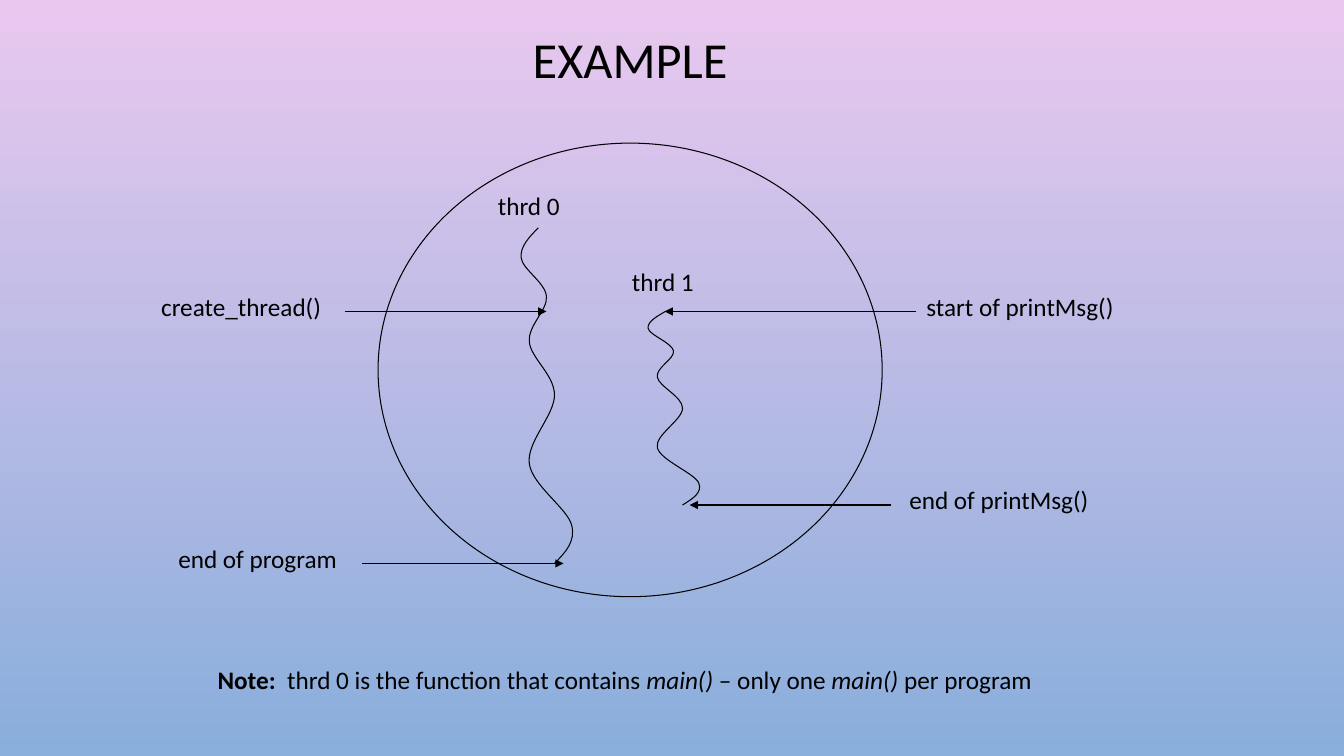
from lxml.etree import SubElement
from pptx import Presentation
from pptx.dml.color import RGBColor
from pptx.enum.shapes import MSO_CONNECTOR as Connector, MSO_SHAPE as Shape
from pptx.enum.text import MSO_ANCHOR as Anchor, MSO_AUTO_SIZE as AutoSize, PP_ALIGN as Align
from pptx.oxml.ns import qn
from pptx.util import Inches, Pt

SLIDE_W, SLIDE_H = 13.33, 7.5
INK, SKY_TOP, SKY_BOTTOM = "000000", "E9C8EF", "89AEDB"
FONT = "Calibri"
LABEL_H = 0.4

# Threads: name, head in the process box, label offset from the head,
# turning points from the head
THREADS = [
    ("thrd 0", (1.59, 0.84), (-0.5, -0.42),
     [(0, 0), (-0.17, 0.3), (0.08, 0.68), (-0.09, 1.13), (0.16, 1.66),
      (-0.09, 2.34), (0.33, 2.95), (0.16, 3.33)]),
    ("thrd 1", (2.85, 1.67), (-0.43, -0.5),
     [(0, 0), (-0.17, 0.17), (0.08, 0.39), (-0.08, 0.65), (0.17, 0.96),
      (-0.08, 1.35), (0.33, 1.7), (0.17, 1.92)]),
]

# Events: text, label left and width, arrow tail, arrow tip, height in the process box
EVENTS = [
    ("create_thread()", -2.25, 1.91, -0.33, 1.67, 1.67),
    ("start of printMsg()", 5.34, 2.16, 5.34, 2.84, 1.67),
    ("end of printMsg()", 5.17, 2.09, 5.09, 3.09, 3.59),
    ("end of program", -2.08, 1.9, -0.16, 1.84, 4.17),
]

# Note: text, bold, italic
NOTE = [
    ("Note:", True, False),
    ("  thrd 0 is the function that contains ", False, False),
    ("main()", False, True),
    (" – only one ", False, False),
    ("main()", False, True),
    (" per program", False, False),
]


def color(hex_code):
    return RGBColor.from_string(hex_code)


def style_font(paragraph, size):
    font = paragraph.font
    font.name, font.size = FONT, Pt(size)
    font.color.rgb = color(INK)


def style_line(shape):
    shape.line.color.rgb = color(INK)
    shape.line.width = Pt(0.75)


def add_label(slide, left, top, width, runs):
    label = slide.shapes.add_textbox(*map(Inches, (left, top, width, LABEL_H)))
    label.text_frame.word_wrap = False
    label.text_frame.auto_size = AutoSize.SHAPE_TO_FIT_TEXT
    paragraph = label.text_frame.paragraphs[0]
    style_font(paragraph, 18)
    for text, bold, italic in runs:
        run = paragraph.add_run()
        run.text = text
        run.font.bold, run.font.italic = bold, italic


def add_arrow(slide, tail_x, tip_x, y):
    arrow = slide.shapes.add_connector(
        Connector.STRAIGHT, *map(Inches, (tail_x, y, tip_x, y)))
    style_line(arrow)
    SubElement(arrow.line._get_or_add_ln(), qn("a:tailEnd"), type="triangle")
    SubElement(arrow._element.spPr, qn("a:effectLst"))


def smooth_points(turns):
    """Put two Bezier handles between each pair of turning points."""
    def handle(i, sign):
        return tuple(p + sign * (after - before) / 6 for before, p, after
                     in zip(turns[i - 1], turns[i], turns[i + 1]))

    def middle(a, b):
        return tuple((p + q) / 2 for p, q in zip(a, b))

    last = len(turns) - 1
    points = []
    for i in range(last):
        if i == 0:
            arriving = handle(1, -1)
            leaving = middle(turns[0], arriving)
        else:
            leaving = handle(i, 1)
            arriving = handle(i + 1, -1) if i + 1 < last else middle(leaving, turns[last])
        points += [leaving, arriving, turns[i + 1]]
    return points


def add_thread(slide, x, y, turns):
    # The builder keeps whole numbers only, so points are given in EMU
    builder = slide.shapes.build_freeform(Inches(x), Inches(y))
    builder.add_line_segments(
        [(Inches(x + dx), Inches(y + dy)) for dx, dy in smooth_points(turns)],
        close=False)
    thread = builder.convert_to_shape()
    thread.shadow.inherit = False
    thread.fill.background()
    style_line(thread)
    # Each three straight steps become one Bezier segment
    steps = list(thread._element.iter(qn("a:lnTo")))
    for first in range(0, len(steps), 3):
        curve = SubElement(steps[first].getparent(), qn("a:cubicBezTo"))
        for step in steps[first:first + 3]:
            curve.append(step[0])
            step.getparent().remove(step)


def paint_background(slide):
    fill = slide.background.fill
    fill.gradient()
    fill.gradient_angle = 270
    for stop, hex_code in zip(fill.gradient_stops, (SKY_TOP, SKY_BOTTOM)):
        stop.color.rgb = color(hex_code)


def place_title(slide, box):
    title = slide.shapes.title
    title.left, title.top, title.width, title.height = map(Inches, box)
    title.text_frame.text = "EXAMPLE"
    title.text_frame.vertical_anchor = Anchor.TOP
    paragraph = title.text_frame.paragraphs[0]
    paragraph.alignment = Align.CENTER
    paragraph.line_spacing = 0.9
    style_font(paragraph, 36)


def draw_process(slide, box):
    left, top = box[:2]
    process = slide.shapes.add_shape(Shape.OVAL, *map(Inches, box))
    process.shadow.inherit = False
    process.fill.background()
    style_line(process)

    # Threads with their names
    for name, (head_x, head_y), (dx, dy), turns in THREADS:
        x, y = left + head_x, top + head_y
        add_thread(slide, x, y, turns)
        add_label(slide, x + dx, y + dy, 0.84, [(name, False, False)])

    # Events pointing at the threads
    for text, label_x, width, tail_x, tip_x, event_y in EVENTS:
        y = top + event_y
        add_arrow(slide, left + tail_x, left + tip_x, y)
        add_label(slide, left + label_x, y - 0.25, width, [(text, False, False)])


def main():
    prs = Presentation()
    prs.slide_width, prs.slide_height = Inches(SLIDE_W), Inches(SLIDE_H)
    slide = prs.slides.add_slide(prs.slide_layouts[5])
    paint_background(slide)
    place_title(slide, (1.75, 0.3, 9, 1.25))
    draw_process(slide, (3.75, 1.42, 5, 4.5))
    add_label(slide, 2.06, 6.54, 8.92, NOTE)
    prs.save("out.pptx")


if __name__ == "__main__":
    main()
